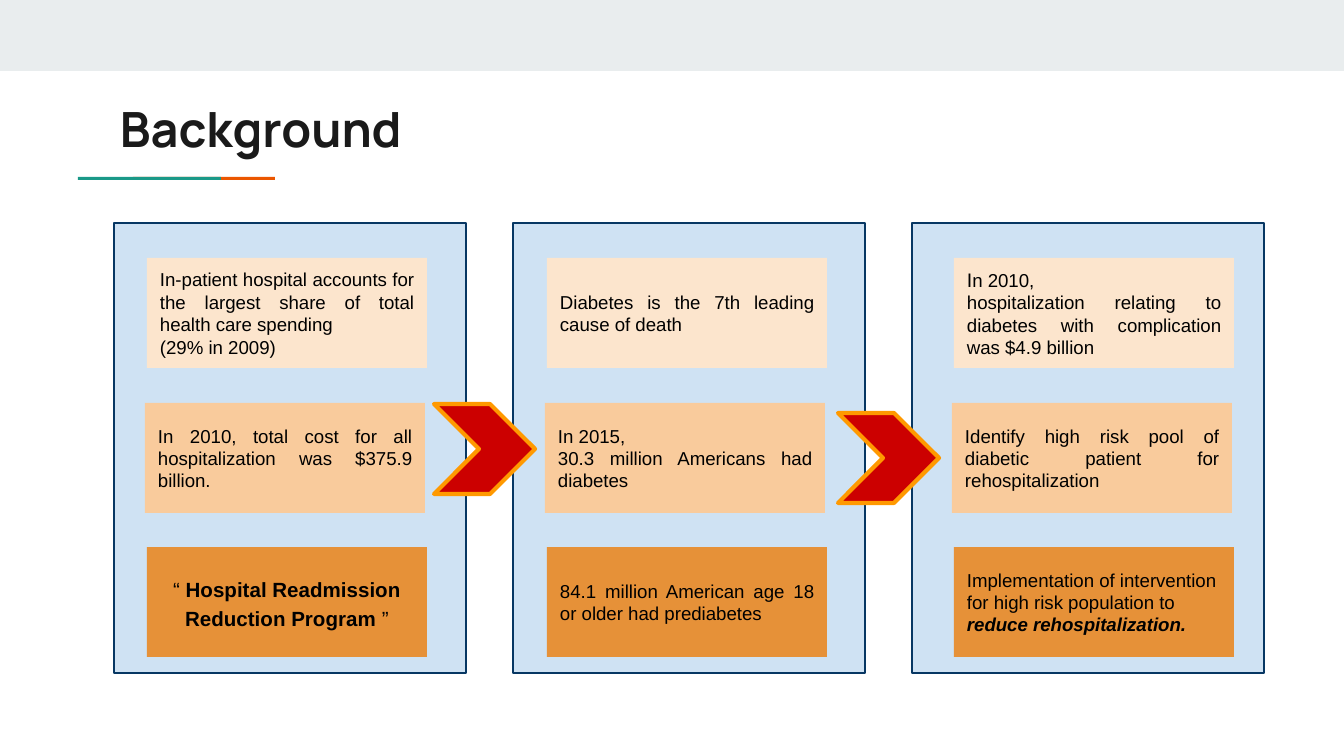
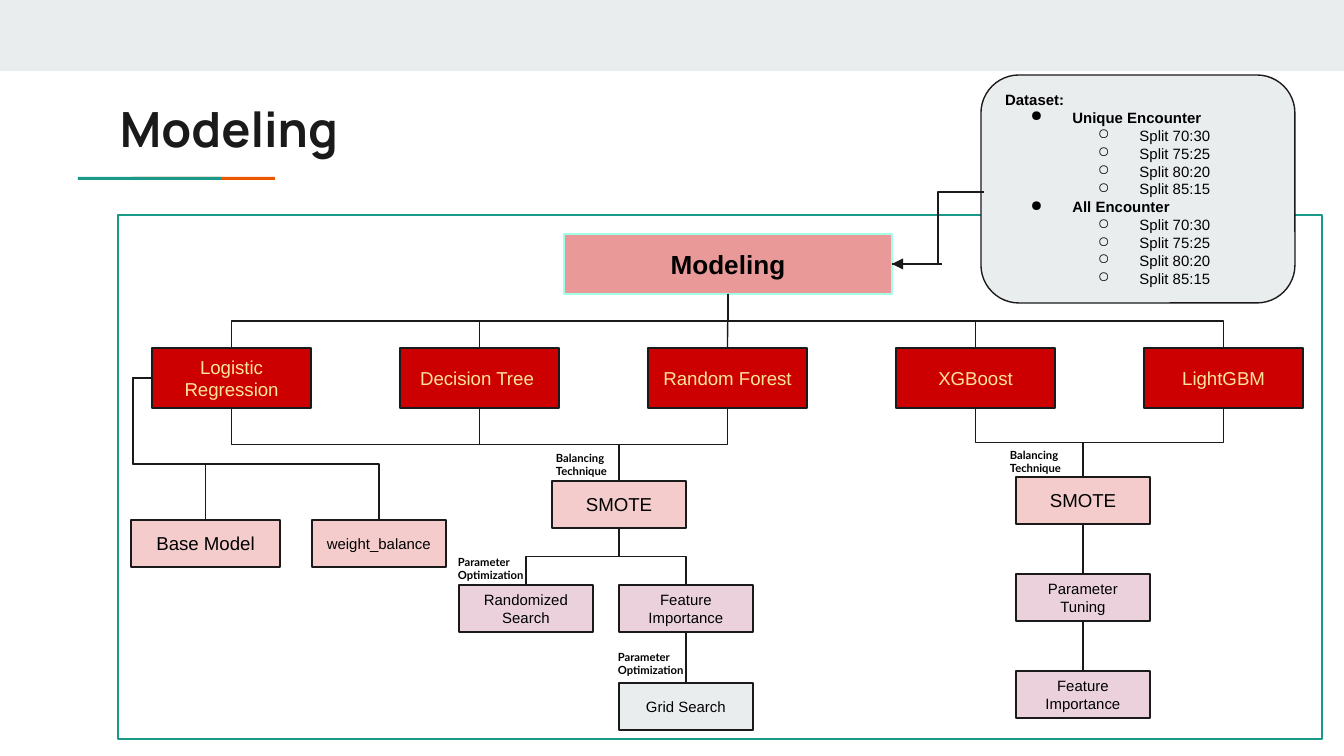
from lxml.etree import SubElement
from pptx import Presentation
from pptx.dml.color import RGBColor
from pptx.enum.shapes import MSO_CONNECTOR, MSO_SHAPE
from pptx.enum.text import MSO_ANCHOR, PP_ALIGN
from pptx.oxml.ns import qn
from pptx.util import Emu, Pt

EMU_PER_PX = 914400 / 134.4
INSET = 13


def px(length):
    return Emu(round(length * EMU_PER_PX))


def color(hex_string):
    return RGBColor.from_string(hex_string)


def add_text(paragraph, text, font="Arial", size=10, hex_color="000000", bold=False, italic=False):
    run = paragraph.add_run()
    run.text = text
    run.font.name = font
    run.font.size = Pt(size)
    run.font.color.rgb = color(hex_color)
    run.font.bold = bold
    run.font.italic = italic


def add_bullet(paragraph, level):
    properties = paragraph._p.get_or_add_pPr()
    properties.set("marL", str(457200 * (level + 1)))
    properties.set("indent", "-283464")
    properties.set("lvl", str(level))
    bullet_color = SubElement(properties, qn("a:buClr"))
    SubElement(bullet_color, qn("a:srgbClr")).set("val", "000000")
    SubElement(properties, qn("a:buChar")).set("char", "●○"[level])


def top_middle(shape):
    return shape.left + shape.width // 2, shape.top


def bottom_middle(shape):
    return shape.left + shape.width // 2, shape.top + shape.height


class Deck:
    INK = "1A1A1A"
    GREY = "E9EDEE"
    TEAL = "1A9988"
    ORANGE = "EB5600"
    TITLE_FONT = "Manrope"
    LABEL_FONT = "Lato"

    def __init__(self):
        self.presentation = Presentation()
        self.presentation.slide_width = px(1344)
        self.presentation.slide_height = px(756)
        self.slide = None

    def new_slide(self, title):
        self.slide = self.presentation.slides.add_slide(self.presentation.slide_layouts[6])
        self.box(0, 0, 1344, 71, self.GREY)
        self.box(133, 177, 142, 3, self.ORANGE)
        self.box(78, 177, 143, 3, self.TEAL)
        self.text_box(107, 86, 1130, 79, [title], font=self.TITLE_FONT, size=26,
                      hex_color=self.INK, bold=True)

    def box(self, left, top, width, height, fill=None, line=None, line_width=0.75,
            kind=MSO_SHAPE.RECTANGLE):
        shape = self.slide.shapes.add_shape(kind, px(left), px(top), px(width), px(height))
        shape.shadow.inherit = False
        if fill:
            shape.fill.solid()
            shape.fill.fore_color.rgb = color(fill)
        else:
            shape.fill.background()
        if line:
            shape.line.color.rgb = color(line)
            shape.line.width = Pt(line_width)
        else:
            shape.line.fill.background()
        return shape

    def fill_text(self, shape, paragraphs, align=PP_ALIGN.LEFT, anchor=MSO_ANCHOR.MIDDLE,
                  spacing=None, levels=None, **text_format):
        """Each paragraph is a string or a list of (text, format) runs."""
        frame = shape.text_frame
        frame.word_wrap = True
        frame.vertical_anchor = anchor
        frame.margin_left = frame.margin_right = px(INSET)
        frame.margin_top = frame.margin_bottom = px(INSET)
        for index, content in enumerate(paragraphs):
            paragraph = frame.paragraphs[0] if index == 0 else frame.add_paragraph()
            paragraph.alignment = align
            if spacing:
                paragraph.line_spacing = spacing
            if levels and levels[index] is not None:
                add_bullet(paragraph, levels[index])
            runs = [(content, {})] if isinstance(content, str) else content
            for text, run_format in runs:
                add_text(paragraph, text, **{**text_format, **run_format})

    def text_box(self, left, top, width, height, paragraphs, **text_format):
        shape = self.slide.shapes.add_textbox(px(left), px(top), px(width), px(height))
        self.fill_text(shape, paragraphs, anchor=MSO_ANCHOR.TOP, **text_format)

    def label(self, left, top, paragraphs):
        self.text_box(left, top, 134, 60, paragraphs, font=self.LABEL_FONT, size=6, bold=True)

    def node(self, left, top, width, height, text, fill, line=INK, **text_format):
        shape = self.box(left, top, width, height, fill, line)
        self.fill_text(shape, [text], align=PP_ALIGN.CENTER, **text_format)
        return shape

    def connector(self, kind, start, end, arrow=False):
        connector = self.slide.shapes.add_connector(kind, *start, *end)
        connector.line.color.rgb = color(self.INK)
        connector.line.width = Pt(0.75)
        properties = connector._element.spPr
        if arrow:
            SubElement(properties.find(qn("a:ln")), qn("a:tailEnd")).set("type", "triangle")
        SubElement(properties, qn("a:effectLst"))
        return connector

    def link_down(self, upper, lower):
        """Straight line if the boxes are aligned, else down, across and down."""
        (x1, y1), (x2, y2) = bottom_middle(upper), top_middle(lower)
        if abs(x2 - x1) < px(1):
            connector = self.connector(MSO_CONNECTOR.STRAIGHT, (x1, y1), (x2, y2))
            connector.begin_connect(upper, 2)
            connector.end_connect(lower, 0)
            return
        drop, reach = y2 - y1, abs(x2 - x1)
        left, top = (x1 + x2 - drop) // 2, (y1 + y2 - reach) // 2
        connector = self.connector(MSO_CONNECTOR.ELBOW, (left, top), (left + drop, top + reach))
        transform = connector._element.spPr.find(qn("a:xfrm"))
        transform.set("rot", "5400000" if x2 < x1 else "16200000")
        if x2 > x1:
            transform.set("flipH", "1")

    def link_around(self, source, target, bus_x, bus_y):
        """From the left side of source, around it and down to the top of target."""
        x1, y1 = source.left, source.top + source.height // 2
        x2, y2 = top_middle(target)
        connector = self.connector(MSO_CONNECTOR.ELBOW, (x1, y1), (x2, y2))
        geometry = connector._element.spPr.find(qn("a:prstGeom"))
        geometry.set("prst", "bentConnector4")
        adjustments = geometry.find(qn("a:avLst"))
        ratios = (px(bus_x) - x1) / (x2 - x1), (px(bus_y) - y1) / (y2 - y1)
        for number, ratio in enumerate(ratios, 1):
            guide = SubElement(adjustments, qn("a:gd"))
            guide.set("name", f"adj{number}")
            guide.set("fmla", f"val {round(ratio * 100000)}")


def build_background(deck):
    deck.new_slide("Background")
    justified = {"align": PP_ALIGN.JUSTIFY}
    emphasis = {"bold": True}
    row_style = [(258, 0, "FCE5CD"), (403, -2, "F9CB9C"), (547, 0, "E69138")]
    columns = [
        (147, [
            (["In-patient hospital accounts for the largest share of total health care spending ",
              "(29% in 2009)"], justified),
            (["In 2010, total cost for all hospitalization was $375.9 billion."], justified),
            ([[("“ ", {}), ("Hospital Readmission Reduction Program ", emphasis), ("”", {})]],
             {"align": PP_ALIGN.CENTER, "spacing": 1.15, "size": 11}),
        ]),
        (547, [
            (["Diabetes is the 7th leading cause of death"], justified),
            (["In 2015, ", "30.3 million Americans had diabetes"], justified),
            (["84.1 million American age 18 or older had prediabetes"], justified),
        ]),
        (954, [
            ([[("I", {"size": 10.5}), ("n 2010, ", {})],
              "hospitalization relating to diabetes with complication was $4.9 billion"], justified),
            (["Identify high risk pool of diabetic patient for rehospitalization"], justified),
            ([[("Implementation of intervention for high risk population to ", {}),
               ("reduce rehospitalization.", {"bold": True, "italic": True})]], {}),
        ]),
    ]

    # Panels with three cards each
    for index, (card_left, cards) in enumerate(columns):
        deck.box(114 + 399 * index, 223, 352, 450, "CFE2F3", "073763")
        for (top, shift, fill), (paragraphs, text_format) in zip(row_style, cards):
            card = deck.box(card_left + shift, top, 280, 110, fill)
            deck.fill_text(card, paragraphs, **text_format)

    # Chevrons between the panels
    for left, top in [(434, 404), (838, 413)]:
        deck.box(left, top, 101, 90, "CC0000", "FF9900", 2.25, MSO_SHAPE.CHEVRON)


def build_modeling(deck):
    deck.new_slide("Modeling")
    deck.box(118, 215, 1204, 524, line=deck.TEAL)
    pink, mauve = "F4CCCC", "EAD1DC"

    # Root and the five models
    root = deck.node(564, 234, 328, 60, "Modeling", "EA9999", "A2FFE8", size=14, bold=True)
    names = ["Logistic Regression", "Decision Tree ", "Random Forest", "XGBoost", "LightGBM"]
    models = [deck.node(152 + 248 * index, 348, 159, 60, name, "CC0000", hex_color="FFE599")
              for index, name in enumerate(names)]
    for model in models:
        deck.link_down(root, model)

    # Logistic regression variants
    base_model = deck.node(131, 520, 149, 47, "Base Model", pink)
    weight_balance = deck.node(312, 520, 134, 47, "weight_balance", pink, size=8)
    for variant in (base_model, weight_balance):
        deck.link_around(models[0], variant, 133, 464)

    # Branch of the first three models
    smote = deck.node(552, 481, 134, 47, "SMOTE", pink)
    randomized = deck.node(459, 585, 134, 47, "Randomized Search", mauve, size=8)
    importance = deck.node(619, 585, 134, 47, "Feature Importance", mauve, size=8)
    grid_search = deck.node(619, 683, 134, 47, "Grid Search", deck.GREY, size=8)
    for model in models[:3]:
        deck.link_down(model, smote)
    deck.link_down(smote, randomized)
    deck.link_down(smote, importance)
    deck.link_down(importance, grid_search)

    # Branch of the boosting models
    steps = [("SMOTE", pink, 10), ("Parameter Tuning", mauve, 8), ("Feature Importance", mauve, 8)]
    chain = [deck.node(1016, 477 + 97 * index, 134, 47, name, fill, size=size)
             for index, (name, fill, size) in enumerate(steps)]
    for model in models[3:]:
        deck.link_down(model, chain[0])
    for upper, lower in zip(chain, chain[1:]):
        deck.link_down(upper, lower)

    # Step labels
    for left, top in [(543, 438), (997, 435)]:
        deck.label(left, top, ["Balancing", "Technique"])
    for left, top in [(445, 542), (605, 637)]:
        deck.label(left, top, ["Parameter Optimization"])

    # Dataset callout
    dataset = deck.box(981, 75, 314, 228, deck.GREY, deck.INK, kind=MSO_SHAPE.ROUNDED_RECTANGLE)
    bold = {"bold": True}
    paragraphs, levels = [[("Dataset:", bold)]], [None]
    for group in ("Unique Encounter", "All Encounter"):
        paragraphs.append([(group, bold)])
        paragraphs += [f"Split {ratio}" for ratio in ("70:30", "75:25", "80:20", "85:15")]
        levels += [0, 1, 1, 1, 1]
    deck.fill_text(dataset, paragraphs, levels=levels, size=8)
    deck.connector(MSO_CONNECTOR.ELBOW, (px(984), px(192)), (px(892), px(264)))
    arrow = deck.connector(MSO_CONNECTOR.STRAIGHT, (px(942), px(264)), (px(892), px(264)), arrow=True)
    arrow.end_connect(root, 3)


def main():
    deck = Deck()
    build_background(deck)
    build_modeling(deck)
    deck.presentation.save("out.pptx")


if __name__ == "__main__":
    main()
